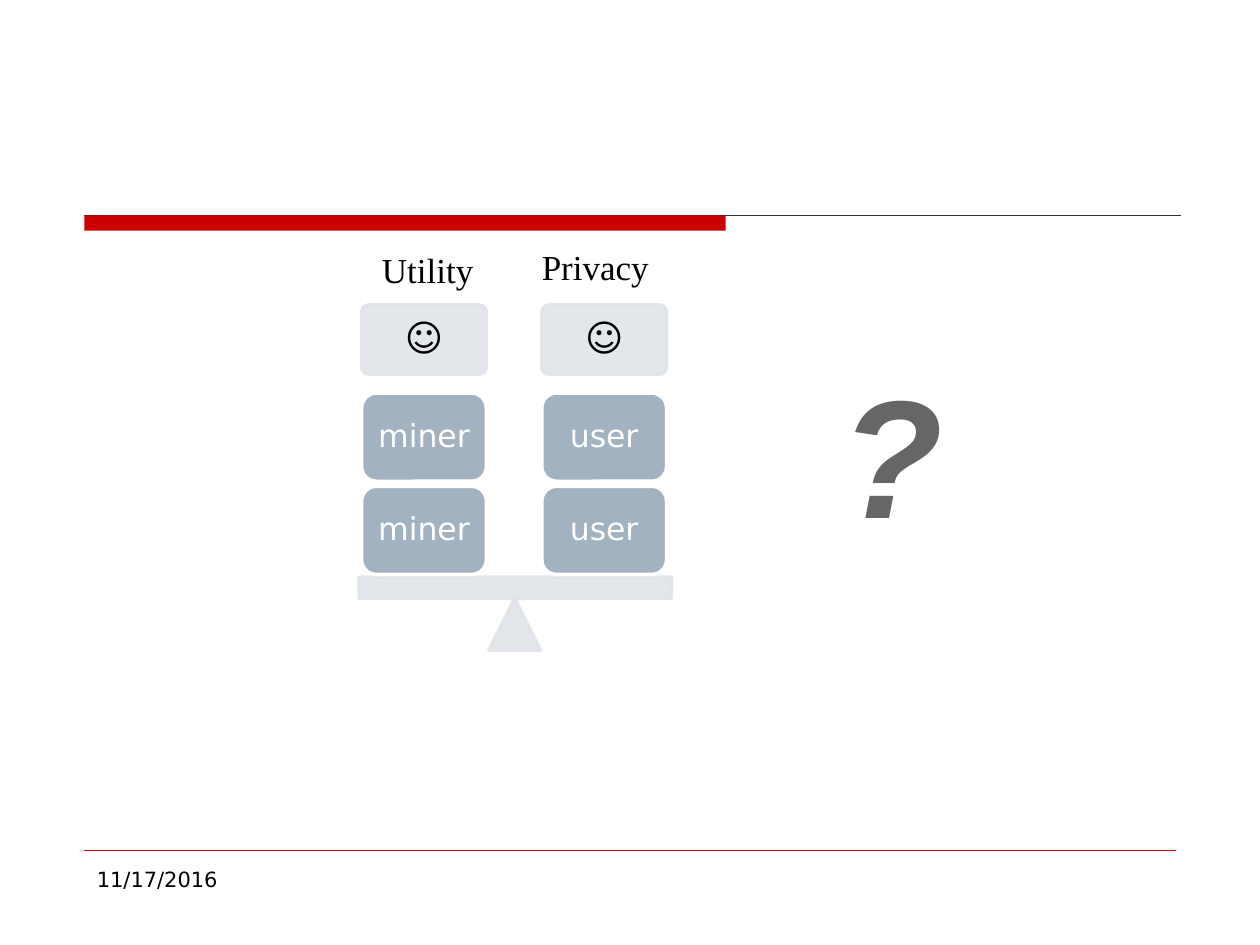
from pptx import Presentation
from pptx.dml.color import RGBColor
from pptx.enum.shapes import MSO_CONNECTOR, MSO_SHAPE
from pptx.enum.text import MSO_ANCHOR, PP_ALIGN
from pptx.oxml.ns import qn
from pptx.util import Inches, Pt
from lxml.etree import SubElement

HUES = {"red": "CC0000", "dark": "333333", "pale": "E0E4E9", "block": "A3B2C1",
        "white": "FFFFFF", "black": "000000", "grey": "666666"}

# left, heading, heading left, heading top, block word
SIDES = [(2.87, "Utility", 2.56, 1.89, "miner"),
         (4.3, "Privacy", 3.89, 1.87, "user")]
WIDE = 0.99
ROWS = [3.86, 3.12]

HEAD = dict(size=Pt(20), name="Times New Roman")
FACE = dict(size=Pt(21), name="DejaVu Sans")
WORD = dict(size=Pt(18), name="DejaVu Sans")
MARK = dict(size=Pt(96), name="Arial", bold=True, italic=True)
DATE = dict(size=Pt(12), name="DejaVu Sans")


def rgb(hue):
    return RGBColor.from_string(HUES[hue])


def write(shape, text, font, hue, pad, align=PP_ALIGN.CENTER,
          anchor=MSO_ANCHOR.TOP, space=1.0):
    """Set one paragraph; pad holds the left, top, right and bottom insets."""
    frame = shape.text_frame
    frame.word_wrap = True
    frame.vertical_anchor = anchor
    for side, gap in zip(("left", "top", "right", "bottom"), pad):
        setattr(frame, "margin_" + side, Inches(gap))
    para = frame.paragraphs[0]
    para.alignment, para.line_spacing = align, space
    run = para.add_run()
    run.text = text
    for key, value in font.items():
        setattr(run.font, key, value)
    run.font.color.rgb = rgb(hue)


def label(slide, box, *args, **opts):
    write(slide.shapes.add_textbox(*map(Inches, box)), *args, **opts)


def solid(slide, kind, box, fill, edge=None, adj=None, alpha=None):
    shape = slide.shapes.add_shape(kind, *map(Inches, box))
    shape.shadow.inherit = False
    shape.fill.solid()
    shape.fill.fore_color.rgb = rgb(fill)
    if edge:
        shape.line.width = Pt(2)
        shape.line.color.rgb = rgb(edge)
    else:
        shape.line.fill.background()
    if adj:
        shape.adjustments[0] = adj
    if alpha:
        props = shape._element.spPr
        for tint in props.iter(qn("a:srgbClr")):
            SubElement(tint, qn("a:alpha"), val=str(alpha * 1000))
    return shape


def rule(slide, left, right, top, hue, width):
    line = slide.shapes.add_connector(
        MSO_CONNECTOR.STRAIGHT, *map(Inches, (left, top, right, top)))
    line.line.color.rgb = rgb(hue)
    line.line.width = Pt(width)
    SubElement(line._element.spPr, qn("a:effectLst"))


def main():
    deck = Presentation()
    deck.slide_width, deck.slide_height = Inches(10), Inches(7.5)
    slide = deck.slides.add_slide(deck.slide_layouts[6])

    rule(slide, 0.67, 9.37, 1.71, "dark", 0.75)
    solid(slide, MSO_SHAPE.RECTANGLE, (0.67, 1.71, 5.09, 0.12), "red")
    rule(slide, 0.67, 9.33, 6.75, "red", 0.25)

    pale = dict(fill="pale", edge="pale", alpha=90)
    solid(slide, MSO_SHAPE.ISOSCELES_TRIANGLE, (3.88, 4.75, 0.41, 0.41), **pale)
    solid(slide, MSO_SHAPE.RECTANGLE, (2.85, 4.58, 2.48, 0.17), **pale)

    mid = dict(anchor=MSO_ANCHOR.MIDDLE, space=0.9)
    for left, head, x, y, word in SIDES:
        label(slide, (x, y, 1.67, 0.44), head, HEAD, "black", (0.1, 0.08, 0.1, 0.05))
        card = solid(slide, MSO_SHAPE.ROUNDED_RECTANGLE,
                     (left, 2.42, WIDE, 0.55), adj=0.1, **pale)
        write(card, "☺", FACE, "black", [0.09] * 4, **mid)
        for top in ROWS:
            block = solid(slide, MSO_SHAPE.ROUNDED_RECTANGLE,
                          (left, top, WIDE, 0.7), "block", "white")
            write(block, word, WORD, "white", [0.07] * 4, **mid)

    label(slide, (6.08, 2.62, 2, 1.72), "?", MARK, "grey", (0.1, 0.16, 0.1, 0.05))
    label(slide, (0.67, 6.83, 2.17, 0.52), "11/17/2016", DATE, "black",
          (0.1, 0.05, 0.1, 0.05), align=PP_ALIGN.LEFT)
    deck.save("out.pptx")


if __name__ == "__main__":
    main()
